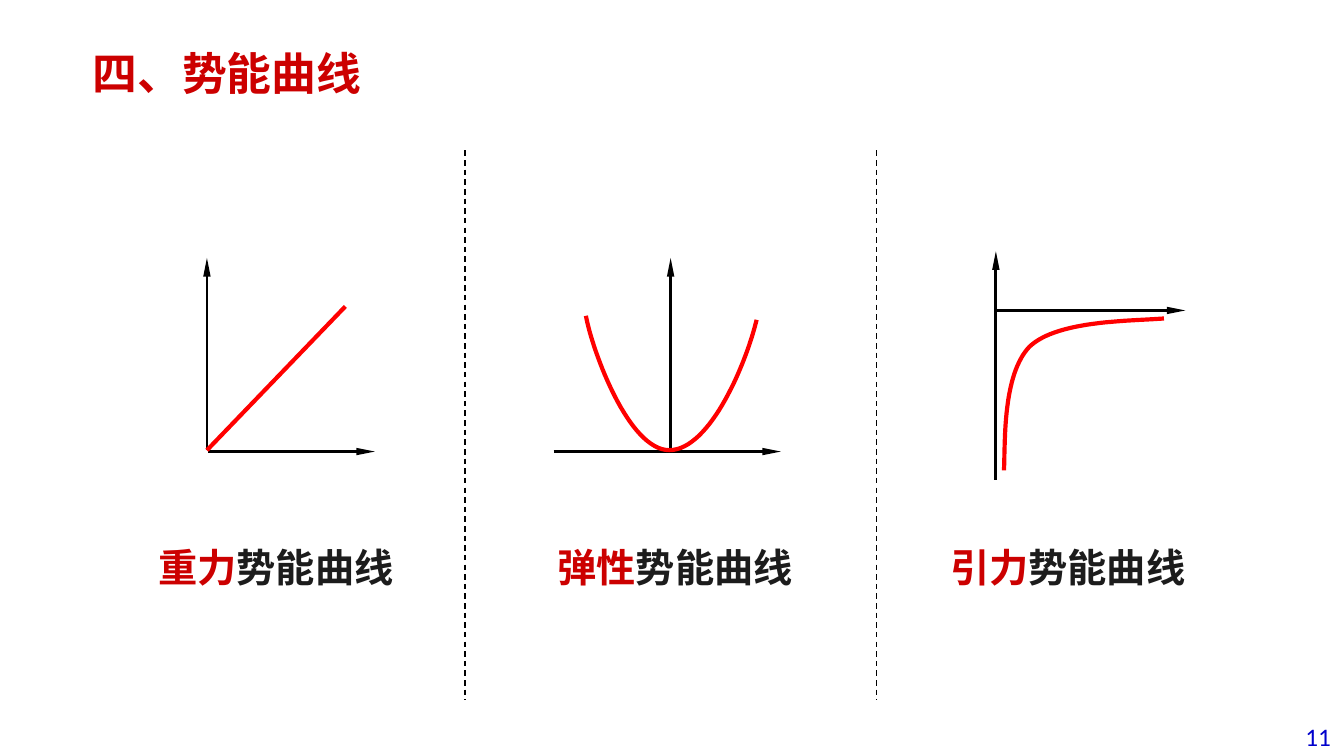
from lxml.etree import SubElement
from pptx import Presentation
from pptx.dml.color import RGBColor
from pptx.enum.dml import MSO_LINE
from pptx.enum.shapes import MSO_CONNECTOR
from pptx.enum.text import MSO_ANCHOR, PP_ALIGN
from pptx.oxml.ns import qn
from pptx.util import Inches, Pt

RED, DARK, BLUE = "CC0000", "1C1C1C", "0000CC"
BLACK, BRIGHT = "000000", "FF0000"


def color(code):
    """Turn a hex string into a colour."""
    return RGBColor.from_string(code)


def bezier(start, ctrl, steps=32):
    """Return points along the cubic curves that follow start."""
    points = [start]
    for i in range(0, len(ctrl), 3):
        knots = [points[-1], *ctrl[i:i + 3]]
        for n in range(1, steps + 1):
            t = n / steps
            parts = ((1 - t) ** 3, 3 * t * (1 - t) ** 2, 3 * t * t * (1 - t), t ** 3)
            points.append(tuple(sum(w * k[axis] for w, k in zip(parts, knots))
                                for axis in (0, 1)))
    return points


class Deck:
    """Hold the style and the current slide."""

    def __init__(self, font="Arial"):
        """Start a 16:9 deck with one blank slide."""
        self.font = font
        self.prs = Presentation()
        self.prs.slide_width = Inches(10)
        self.prs.slide_height = Inches(10 * 9 / 16)
        self.slide = self.prs.slides.add_slide(self.prs.slide_layouts[6])

    def text(self, box, runs, size, bold=True, font=None,
             align=PP_ALIGN.LEFT, anchor=MSO_ANCHOR.TOP):
        """Add a text box of one paragraph made of coloured runs."""
        frame = self.slide.shapes.add_textbox(*map(Inches, box)).text_frame
        frame.word_wrap = True
        frame.vertical_anchor = anchor
        para = frame.paragraphs[0]
        para.alignment = align
        for words, code in runs:
            run = para.add_run()
            run.text = words
            run.font.name = font or self.font
            run.font.size = Pt(size)
            run.font.bold = bold
            run.font.color.rgb = color(code)

    def line(self, start, end, code=BLACK, width=1.5, dash=None):
        """Add a straight line and return it."""
        line = self.slide.shapes.add_connector(
            MSO_CONNECTOR.STRAIGHT, *map(Inches, (*start, *end)))
        line.line.color.rgb = color(code)
        line.line.width = Pt(width)
        if dash:
            line.line.dash_style = dash
        SubElement(line._element.spPr, qn("a:effectLst"))
        return line

    def axis(self, start, end):
        """Add a line with a slim arrowhead at its end."""
        line = self.line(start, end)
        SubElement(line._element.spPr.find(qn("a:ln")), qn("a:tailEnd"),
                   type="triangle", w="sm", len="lg")

    def curve(self, start, *ctrl):
        """Add an open red curve."""
        first, *rest = [tuple(map(Inches, p)) for p in bezier(start, ctrl)]
        trace = self.slide.shapes.build_freeform(*first, scale=1.0)
        trace.add_line_segments(rest, close=False)
        shape = trace.convert_to_shape()
        shape.shadow.inherit = False
        shape.fill.background()
        shape.line.color.rgb = color(BRIGHT)
        shape.line.width = Pt(2.25)


def main():
    """Build the slide and save it."""
    deck = Deck()
    deck.text((7.67, 5.33, 2.33, 0.3), [("11", BLUE)], 13.5, False, "Calibri",
              PP_ALIGN.RIGHT, MSO_ANCHOR.MIDDLE)
    deck.text((0.59, 0.29, 2.65, 0.5), [("四、势能曲线", RED)], 24)
    for left, kind in ((1.08, "重力"), (4.05, "弹性"), (6.97, "引力")):
        deck.text((left, 3.99, 2.31, 0.45), [(kind, RED), ("势能曲线", DARK)], 21)
    for x in (3.46, 6.52):
        deck.line((x, 1.12), (x, 5.21), width=0.75, dash=MSO_LINE.DASH)

    for start, end in (((1.55, 3.36), (2.79, 3.36)), ((1.54, 3.35), (1.54, 1.92)),
                       ((4.12, 3.36), (5.81, 3.36)), ((4.99, 3.37), (4.99, 1.92)),
                       ((7.41, 3.57), (7.41, 1.87)), ((7.41, 2.31), (8.82, 2.31))):
        deck.axis(start, end)

    deck.line((1.54, 3.35), (2.57, 2.28), BRIGHT, 2.25)
    deck.curve((4.36, 2.35), (4.41, 2.62), (4.68, 3.35), (4.98, 3.35),
               (5.29, 3.35), (5.56, 2.68), (5.63, 2.38))
    deck.curve((7.47, 3.5), (7.48, 3.28), (7.46, 2.79), (7.66, 2.58),
               (7.87, 2.38), (8.43, 2.39), (8.66, 2.37))
    deck.prs.save("out.pptx")


if __name__ == "__main__":
    main()
